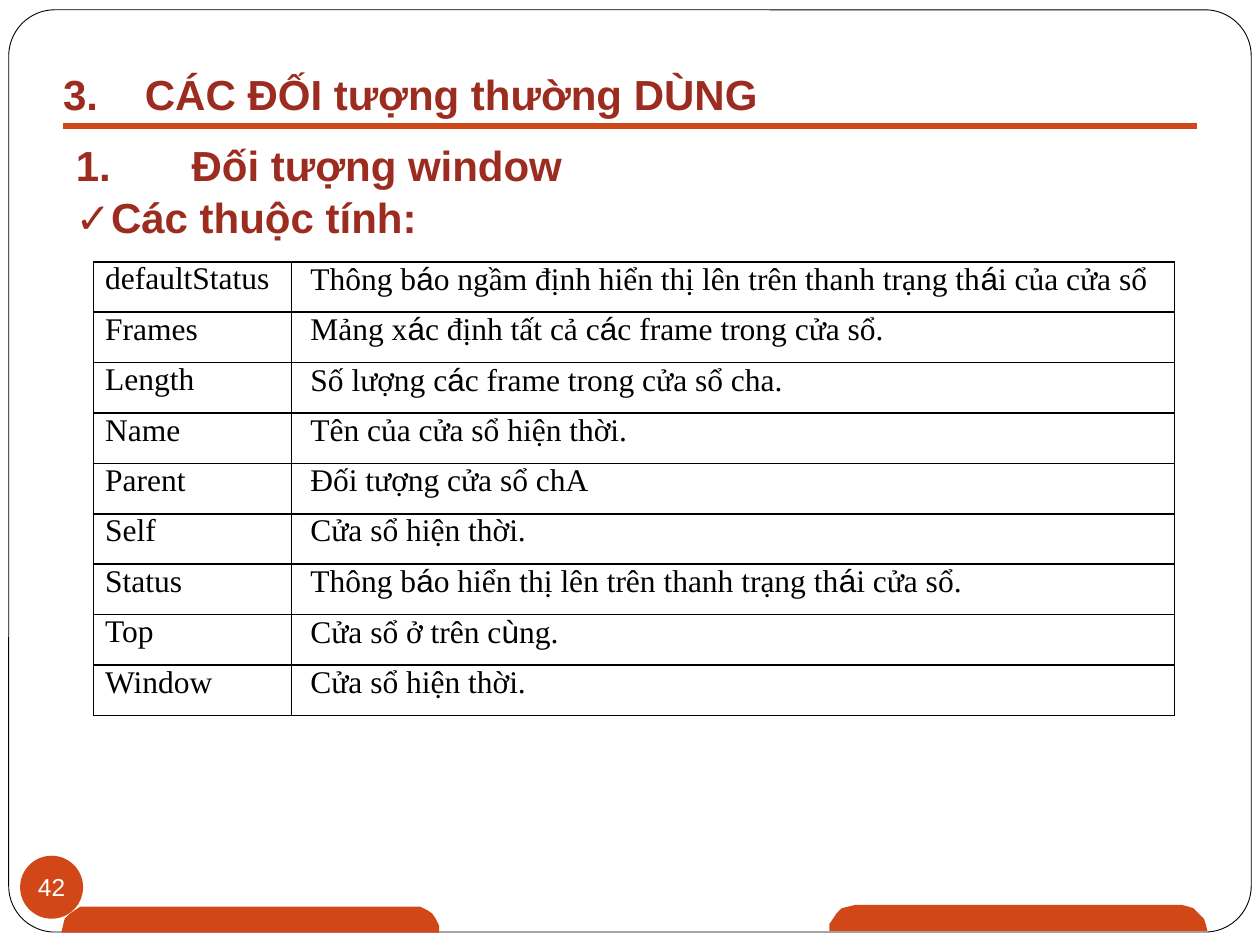
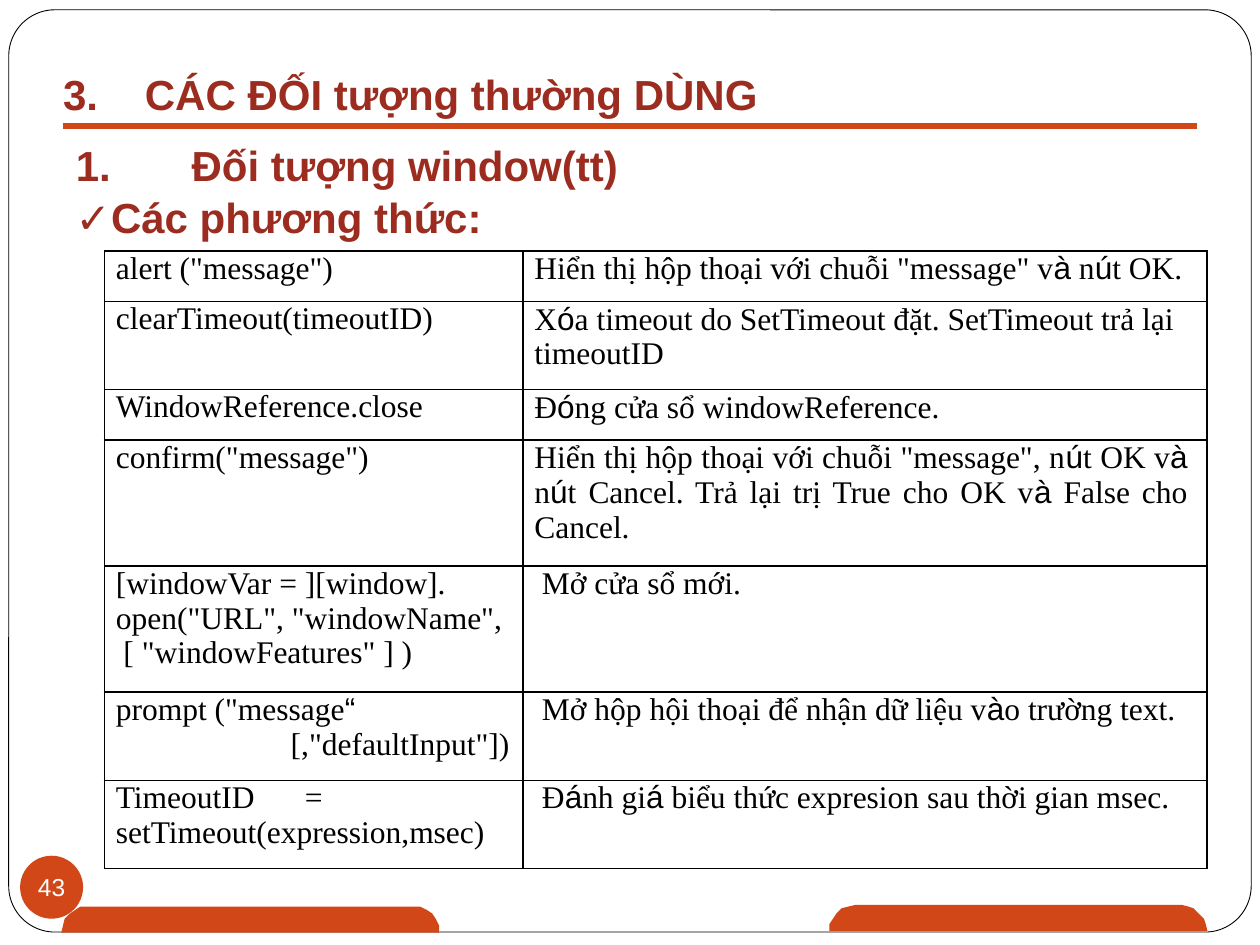
import math
from dataclasses import dataclass
from itertools import groupby

from lxml import etree
from pptx import Presentation
from pptx import util as u
from pptx.dml.color import RGBColor
from pptx.enum import shapes, text
from pptx.oxml import ns

Pt = u.Pt


@dataclass(frozen=True)
class Theme:
    accent: RGBColor = RGBColor(0xD2, 0x47, 0x17)
    heading: RGBColor = RGBColor(0x9B, 0x2C, 0x1F)
    ink: RGBColor = RGBColor(0, 0, 0)
    paper: RGBColor = RGBColor(0xFF, 0xFF, 0xFF)
    sans: str = "Arial"
    serif: str = "Times New Roman"
    heading_size: float = 24
    table_size: float = 18
    number_size: float = 14


SANS_LETTERS = "áàóúù“"
NARROW, WIDE = 6.6, 10.9

HEADING = "CÁC ĐỐI tượng thường DÙNG"

PROPERTIES = [
    ("defaultStatus", "Thông báo ngầm định hiển thị lên trên thanh trạng thái của cửa sổ"),
    ("Frames", "Mảng xác định tất cả các frame trong cửa sổ."),
    ("Length", "Số lượng các frame trong cửa sổ cha."),
    ("Name", "Tên của cửa sổ hiện thời."),
    ("Parent", "Đối tượng cửa sổ chA"),
    ("Self", "Cửa sổ hiện thời."),
    ("Status", "Thông báo hiển thị lên trên thanh trạng thái cửa sổ."),
    ("Top", "Cửa sổ ở trên cùng."),
    ("Window", "Cửa sổ hiện thời."),
]

METHODS = [
    ('alert ("message")', [(NARROW, 'Hiển thị hộp thoại với chuỗi "message" và nút OK.')]),
    ("clearTimeout(timeoutID)",
     [(NARROW, "Xóa timeout do SetTimeout đặt. SetTimeout trả lại timeoutID")]),
    ("WindowReference.close", [(NARROW, "Đóng cửa sổ windowReference.")]),
    ('confirm("message")',
     [(NARROW, 'Hiển thị hộp thoại với chuỗi "message", nút OK và nút Cancel. '
               "Trả lại trị True cho OK và False cho Cancel.")]),
    ([(NARROW, "[windowVar = ][window]."), (NARROW, 'open("URL", "windowName",'),
      (WIDE, '[ "windowFeatures" ] )')], "Mở cửa sổ mới."),
    ([(NARROW, 'prompt ("message“'), (106.5, '[,"defaultInput"])')],
     "Mở hộp hội thoại để nhận dữ liệu vào trường text."),
    ([(NARROW, "TimeoutID\t="), (NARROW, "setTimeout(expression,msec)")],
     "Đánh giá biểu thức expresion sau thời gian msec."),
]


def add_xml(parent, tag, **attributes):
    values = {key: str(value) for key, value in attributes.items()}
    return etree.SubElement(parent, ns.qn(tag), values)


class Deck:
    def __init__(self, theme):
        self.theme = theme
        self.presentation = Presentation()
        self.presentation.slide_width = Pt(720)
        self.presentation.slide_height = Pt(540)
        self.slide = None

    def new_slide(self, number):
        layout = self.presentation.slide_layouts[1]
        self.slide = self.presentation.slides.add_slide(layout)
        self.frame()
        self.rule(36, 684, 72)
        self.corner_tab(35.3, 532.8)
        self.corner_tab(473.8, 532.2)
        self.badge(number)

    def font(self, run, size, color, name, bold=False):
        run.font.size = Pt(size)
        run.font.color.rgb = color
        run.font.name = name
        run.font.bold = bold

    def paint(self, shape, color):
        shape.shadow.inherit = False
        shape.fill.solid()
        shape.fill.fore_color.rgb = color
        shape.line.fill.background()

    def frame(self):
        border = self.slide.shapes.add_shape(
            shapes.MSO_SHAPE.ROUNDED_RECTANGLE, Pt(5), Pt(5.6), Pt(710), Pt(527))
        border.adjustments[0] = 0.05
        border.shadow.inherit = False
        border.fill.background()
        border.line.color.rgb = self.theme.ink
        border.line.width = Pt(0.5)

    def rule(self, left, right, y):
        line = self.slide.shapes.add_connector(
            shapes.MSO_CONNECTOR.STRAIGHT, Pt(left), Pt(y), Pt(right), Pt(y))
        line.line.color.rgb = self.theme.accent
        line.line.width = Pt(3)
        add_xml(line._element.spPr, "a:effectLst")

    def corner_tab(self, left, bottom, width=216, radius=15):
        def arc(center, start):
            angles = [math.radians(start + 15 * step) for step in range(7)]
            return [(center + radius * math.cos(a), bottom + radius * math.sin(a))
                    for a in angles]

        outline = arc(left + radius, 180) + arc(left + width - radius, 270)
        builder = self.slide.shapes.build_freeform(*outline[0], scale=Pt(1))
        builder.add_line_segments(outline[1:], close=True)
        self.paint(builder.convert_to_shape(), self.theme.accent)

    def badge(self, number):
        circle = self.slide.shapes.add_shape(
            shapes.MSO_SHAPE.OVAL, Pt(11.5), Pt(489), Pt(36), Pt(36))
        self.paint(circle, self.theme.accent)
        frame = self.text_area(circle.text_frame)
        frame.vertical_anchor = text.MSO_ANCHOR.MIDDLE
        frame.text = str(number)
        frame.paragraphs[0].alignment = text.PP_ALIGN.CENTER
        self.font(frame.paragraphs[0].runs[0], self.theme.number_size,
                  self.theme.paper, self.theme.sans)

    def text_area(self, frame):
        frame.margin_left = frame.margin_right = frame.margin_top = frame.margin_bottom = 0
        frame.vertical_anchor = text.MSO_ANCHOR.TOP
        frame.auto_size = text.MSO_AUTO_SIZE.NONE
        frame.word_wrap = True
        return frame

    def place(self, shape, left, top, width, height):
        shape.left, shape.top = Pt(left), Pt(top)
        shape.width, shape.height = Pt(width), Pt(height)
        return self.text_area(shape.text_frame)

    def indent(self, paragraph, left, first=0, before=0.0):
        paragraph.space_before = Pt(before)
        properties = paragraph._p.get_or_add_pPr()
        properties.set("marL", str(Pt(left)))
        properties.set("indent", str(Pt(first)))
        return properties

    def heading_line(self, paragraph, left, first=0, before=0.0, start=None):
        paragraph.alignment = text.PP_ALIGN.LEFT
        properties = self.indent(paragraph, left, first, before)
        if start:
            add_xml(properties, "a:buAutoNum", type="arabicPeriod", startAt=start)
        else:
            add_xml(properties, "a:buNone")
        for run in paragraph.runs:
            self.font(run, self.theme.heading_size, self.theme.heading,
                      self.theme.sans, bold=run.text != "✓")

    def title(self, heading):
        frame = self.place(self.slide.shapes.title, 35.3, 39, 440, 28)
        frame.text = heading
        self.heading_line(frame.paragraphs[0], 47.5, -46.8, start=3)

    def body(self, topic, group):
        frame = self.place(self.slide.placeholders[1], 35.3, 79.6, 440, 61)
        frame.text = topic
        self.heading_line(frame.paragraphs[0], 74.2, -66.2, start=1)
        check_line = frame.add_paragraph()
        for part in ("✓", group):
            check_line.add_run().text = part
        self.heading_line(check_line, 8, before=1.2)

    def table(self, left, top, widths, heights, rows, indents, justified=None):
        graphic = self.slide.shapes.add_table(
            len(rows), len(widths), Pt(left), Pt(top), Pt(sum(widths)), Pt(sum(heights)))
        grid = graphic.table
        grid.first_row = grid.horz_banding = False
        for column, width in zip(grid.columns, widths):
            column.width = Pt(width)
        for r, (row, height) in enumerate(zip(rows, heights)):
            grid.rows[r].height = Pt(height)
            for c, content in enumerate(row):
                lines = [(indents[c], content)] if isinstance(content, str) else content
                self.cell(grid.cell(r, c), lines, right=11 * c)
        if justified:
            paragraph = grid.cell(*justified).text_frame.paragraphs[0]
            paragraph.alignment = text.PP_ALIGN.JUSTIFY

    def cell(self, cell, lines, right):
        cell.margin_left = cell.margin_top = cell.margin_bottom = 0
        cell.margin_right = Pt(right)
        properties = cell._tc.get_or_add_tcPr()
        for side in ("a:lnL", "a:lnR", "a:lnT", "a:lnB"):
            border = add_xml(properties, side, w=Pt(1))
            fill = add_xml(border, "a:solidFill")
            add_xml(fill, "a:srgbClr", val=self.theme.ink)
        cell.fill.background()
        frame = cell.text_frame
        for index, (left, line) in enumerate(lines):
            paragraph = frame.add_paragraph() if index else frame.paragraphs[0]
            layout = self.indent(paragraph, left, before=0 if index else 2.5)
            if "\t" in line:
                stops = add_xml(layout, "a:tabLst")
                add_xml(stops, "a:tab", pos=Pt(221.8), algn="l")
            for accented, letters in groupby(line, lambda letter: letter in SANS_LETTERS):
                run = paragraph.add_run()
                run.text = "".join(letters)
                self.font(run, self.theme.table_size, self.theme.ink,
                          self.theme.sans if accented else self.theme.serif)

    def save(self):
        self.presentation.save("out.pptx")


def main():
    deck = Deck(Theme())

    deck.new_slide(42)
    deck.title(HEADING)
    deck.body("Đối tượng window", "Các thuộc tính:")
    deck.table(53.5, 149.6, [113, 504.7], [28.8] * len(PROPERTIES), PROPERTIES,
               indents=(NARROW, WIDE))

    deck.new_slide(43)
    deck.title(HEADING)
    deck.body("Đối tượng window(tt)", "Các phương thức:")
    deck.table(59.6, 143.5, [239.2, 390.8], [28.8, 50.4, 28.8, 72, 72, 50.4, 50.4],
               METHODS, indents=(NARROW, WIDE), justified=(3, 1))

    deck.save()


if __name__ == "__main__":
    main()
